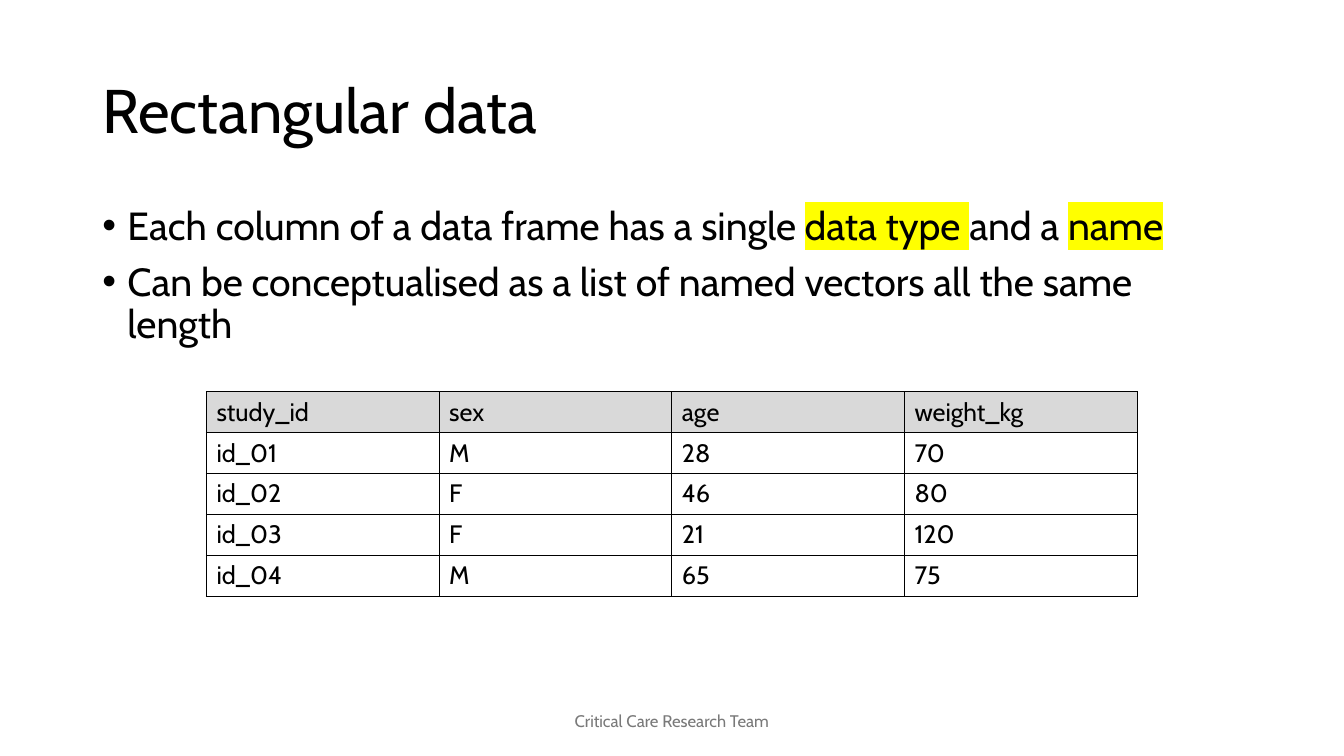
from dataclasses import dataclass

from lxml import etree
from pptx import Presentation
from pptx.dml.color import RGBColor
from pptx.enum import text
from pptx.oxml import ns
from pptx.util import Pt


@dataclass(frozen=True)
class Theme:
    font: str = "Cabin"
    ink: str = "000000"
    muted: str = "797979"
    header_fill: str = "D9D9D9"
    marker: str = "FFFF00"
    title_size: int = 44
    body_size: int = 28
    table_size: int = 18
    footer_size: int = 12


THEME = Theme()

BULLETS = [
    [("Each column of a data frame has a single ", False), ("data type ", True),
     ("and a ", False), ("name", True)],
    [("Can be conceptualised as a list of named vectors all the same length", False)],
]

PATIENTS = [
    ["study_id", "sex", "age", "weight_kg"],
    ["id_01", "M", "28", "70"],
    ["id_02", "F", "46", "80"],
    ["id_03", "F", "21", "120"],
    ["id_04", "M", "65", "75"],
]


def add_colour(parent, color):
    etree.SubElement(parent, ns.qn("a:srgbClr"), val=color)


def write(paragraph, words, size, color=THEME.ink, marked=False, align=None, spacing=None):
    """Append one formatted run to a paragraph."""
    if align is not None:
        paragraph.alignment = align
    if spacing is not None:
        paragraph.line_spacing = spacing
    run = paragraph.add_run()
    run.text = words
    run.font.size = Pt(size)
    run.font.name = THEME.font
    run.font.color.rgb = RGBColor.from_string(color)
    if marked:
        highlight = etree.Element(ns.qn("a:highlight"))
        add_colour(highlight, THEME.marker)
        run.font._element.find(ns.qn("a:solidFill")).addnext(highlight)


def add_text_frame(slide, left, top, width, height, anchor=text.MSO_ANCHOR.MIDDLE):
    box = slide.shapes.add_textbox(Pt(left), Pt(top), Pt(width), Pt(height))
    frame = box.text_frame
    frame.word_wrap = True
    frame.vertical_anchor = anchor
    return frame


def make_bullet(paragraph):
    properties = paragraph._p.get_or_add_pPr()
    properties.set("marL", str(Pt(18)))
    properties.set("indent", str(Pt(-18)))
    etree.SubElement(properties, ns.qn("a:buFont"), typeface="Arial")
    etree.SubElement(properties, ns.qn("a:buChar"), char="•")


def add_bullets(slide, bullets, left, top, width, height):
    frame = add_text_frame(slide, left, top, width, height, anchor=text.MSO_ANCHOR.TOP)
    for index, pieces in enumerate(bullets):
        paragraph = frame.add_paragraph() if index else frame.paragraphs[0]
        make_bullet(paragraph)
        if index:
            paragraph.space_before = Pt(10)
        for words, marked in pieces:
            write(paragraph, words, THEME.body_size, marked=marked, spacing=0.9)


def add_borders(cell):
    properties = cell._tc.get_or_add_tcPr()
    for side in ("lnL", "lnR", "lnT", "lnB"):
        line = etree.SubElement(properties, ns.qn(f"a:{side}"), w=str(Pt(1)))
        add_colour(etree.SubElement(line, ns.qn("a:solidFill")), THEME.ink)


def add_data_table(slide, rows, left, top, column_width, row_height):
    column_count = len(rows[0])
    table = slide.shapes.add_table(
        len(rows), column_count, Pt(left), Pt(top),
        Pt(column_width * column_count), Pt(row_height * len(rows))).table
    table.horz_banding = False
    for column in table.columns:
        column.width = Pt(column_width)
    for row_index, values in enumerate(rows):
        table.rows[row_index].height = Pt(row_height)
        for column_index, value in enumerate(values):
            cell = table.cell(row_index, column_index)
            add_borders(cell)
            if row_index == 0:
                cell.fill.solid()
                cell.fill.fore_color.rgb = RGBColor.from_string(THEME.header_fill)
            else:
                cell.fill.background()
            write(cell.text_frame.paragraphs[0], value, THEME.table_size)
    table.first_row = False


def main():
    deck = Presentation()
    deck.slide_width, deck.slide_height = Pt(960), Pt(540)
    slide = deck.slides.add_slide(deck.slide_layouts[6])

    title = add_text_frame(slide, 66, 28.75, 828, 104.4)
    write(title.paragraphs[0], "Rectangular data", THEME.title_size, spacing=0.9)

    add_bullets(slide, BULLETS, 66, 143.75, 828, 342.6)

    footer = add_text_frame(slide, 318, 500.5, 324, 28.75)
    write(footer.paragraphs[0], "Critical Care Research Team", THEME.footer_size,
          color=THEME.muted, align=text.PP_ALIGN.CENTER)

    add_data_table(slide, PATIENTS, 147.5, 279.8, column_width=166.2, row_height=29.2)

    deck.save("out.pptx")


if __name__ == "__main__":
    main()
